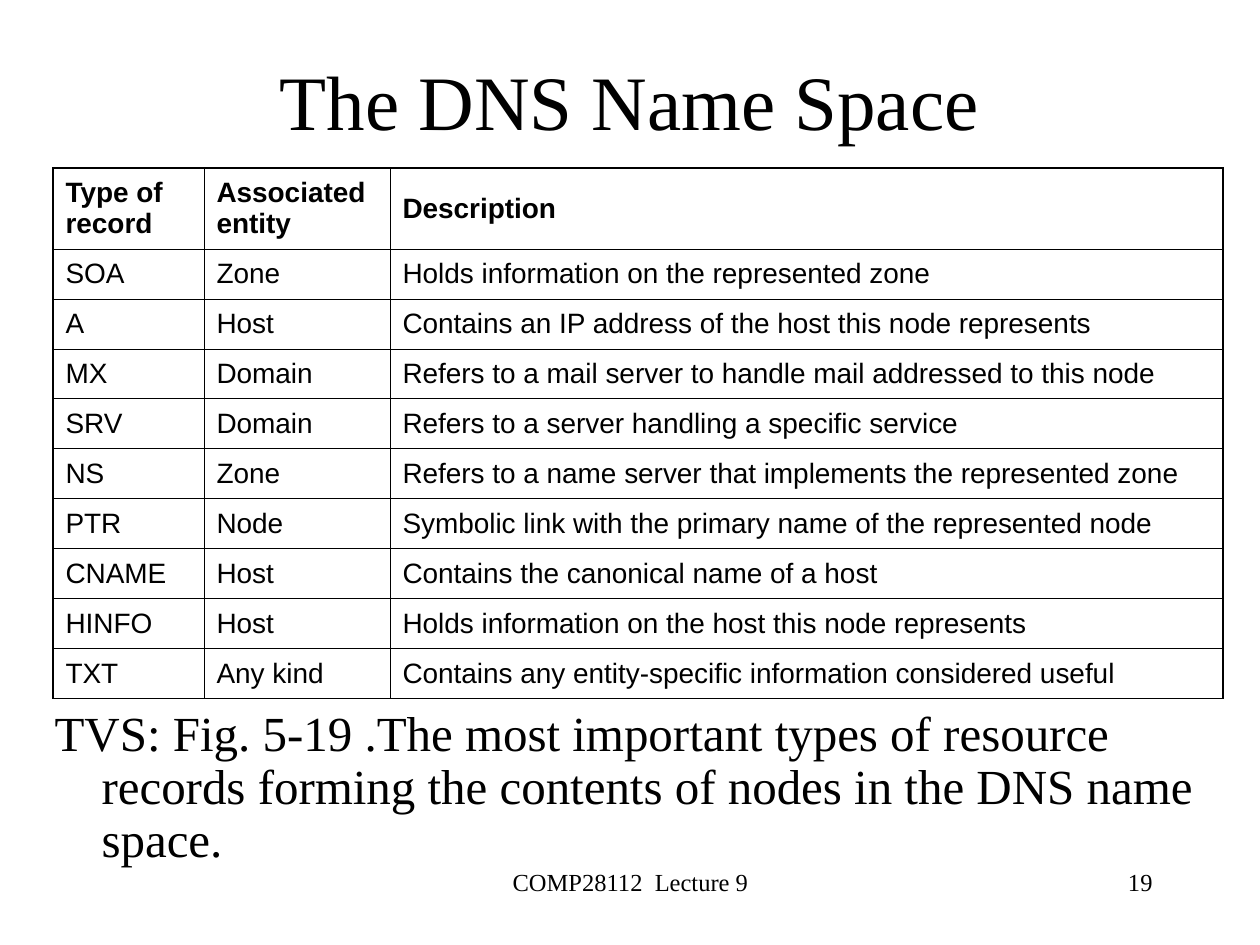
from dataclasses import dataclass

from lxml import etree
from pptx import Presentation
from pptx.dml.color import RGBColor
from pptx.enum.text import MSO_ANCHOR, MSO_AUTO_SIZE, PP_ALIGN
from pptx.oxml.ns import qn
from pptx.util import Emu, Pt

LEFT, CENTER, RIGHT = PP_ALIGN.LEFT, PP_ALIGN.CENTER, PP_ALIGN.RIGHT
TOP, MIDDLE = MSO_ANCHOR.TOP, MSO_ANCHOR.MIDDLE
NO_FIT = MSO_AUTO_SIZE.NONE
PIXEL = 914400 // 126  # EMU in one pixel


@dataclass(frozen=True)
class Theme:
    ink: str = "000000"
    paper: str = "FFFFFF"
    serif: str = "Times New Roman"
    sans: str = "Arial"
    title_size: int = 44
    caption_size: int = 28
    table_size: int = 16
    footer_size: int = 14
    outer_line: float = 1.08
    inner_line: float = 0.45


THEME = Theme()
COLUMN_WIDTHS = (151, 186, 833)
HEADER_HEIGHT, ROW_HEIGHT = 81, 50
RECORDS = (
    ("Type of record", "Associated entity", "Description"),
    ("SOA", "Zone", "Holds information on the represented zone"),
    ("A", "Host", "Contains an IP address of the host this node represents"),
    ("MX", "Domain", "Refers to a mail server to handle mail addressed to this node"),
    ("SRV", "Domain", "Refers to a server handling a specific service"),
    ("NS", "Zone", "Refers to a name server that implements the represented zone"),
    ("PTR", "Node", "Symbolic link with the primary name of the represented node"),
    ("CNAME", "Host", "Contains the canonical name of a host"),
    ("HINFO", "Host", "Holds information on the host this node represents"),
    ("TXT", "Any kind", "Contains any entity-specific information considered useful"),
)


def px(length):
    return Emu(length * PIXEL)


def write(frame, text, *, size, font=THEME.serif, bold=False, align=LEFT,
          before=0, line_spacing=1.0, hanging=0):
    """Put one formatted paragraph into a text frame."""
    para = frame.paragraphs[0]
    para.alignment = align
    para.space_before = Pt(before)
    para.line_spacing = line_spacing
    properties = para._p.get_or_add_pPr()
    properties.set("marL", str(px(hanging)))
    properties.set("indent", str(-px(hanging)))
    etree.SubElement(properties, qn("a:buNone"))
    span = para.add_run()
    span.text = text
    span.font.name = font
    span.font.size = Pt(size)
    span.font.bold = bold
    span.font.color.rgb = RGBColor.from_string(THEME.ink)


def place(box, left, top, width, height, anchor=TOP):
    """Move a text shape and return its prepared text frame."""
    box.left, box.top, box.width, box.height = map(px, (left, top, width, height))
    frame = box.text_frame
    frame.word_wrap = True
    frame.auto_size = NO_FIT
    frame.vertical_anchor = anchor
    return frame


def add_footer(page, text, left, width, align):
    box = page.shapes.add_textbox(0, 0, 0, 0)
    write(place(box, left, 861, width, 63), text,
          size=THEME.footer_size, align=align)


def set_borders(cell, widths):
    """Draw the left, right, top and bottom borders of a cell."""
    properties = cell._tc.get_or_add_tcPr()
    for index, (side, width) in enumerate(zip("LRTB", widths)):
        line = etree.Element(qn(f"a:ln{side}"), w=str(Pt(width)))
        fill = etree.SubElement(line, qn("a:solidFill"))
        etree.SubElement(fill, qn("a:srgbClr"), val=THEME.ink)
        properties.insert(index, line)


def add_records_table(page, left, top):
    last_row, last_column = len(RECORDS) - 1, len(COLUMN_WIDTHS) - 1
    height = HEADER_HEIGHT + last_row * ROW_HEIGHT
    table = page.shapes.add_table(
        len(RECORDS), len(COLUMN_WIDTHS), px(left), px(top),
        px(sum(COLUMN_WIDTHS)), px(height)).table
    table.horz_banding = False
    for column, width in zip(table.columns, COLUMN_WIDTHS):
        column.width = px(width)
    for r, record in enumerate(RECORDS):
        table.rows[r].height = px(ROW_HEIGHT if r else HEADER_HEIGHT)
        for c, text in enumerate(record):
            cell = table.cell(r, c)
            cell.vertical_anchor = MIDDLE
            cell.fill.background()
            outer = (c == 0, c == last_column, r == 0, r == last_row)
            set_borders(cell, [THEME.outer_line if edge else THEME.inner_line
                               for edge in outer])
            write(cell.text_frame, text, size=THEME.table_size,
                  font=THEME.sans, bold=r == 0, before=4)


def main():
    deck = Presentation()
    deck.slide_width, deck.slide_height = px(1260), px(945)
    page = deck.slides.add_slide(deck.slide_layouts[1])
    page.background.fill.solid()
    page.background.fill.fore_color.rgb = RGBColor.from_string(THEME.paper)

    # Footer and page number
    add_footer(page, "COMP28112  Lecture 9", 431, 399, CENTER)
    add_footer(page, "19", 903, 262, RIGHT)

    # Title
    write(place(page.shapes.title, 94, 42, 1071, 116, MIDDLE),
          "The DNS Name Space", size=THEME.title_size, align=CENTER)

    # Caption below the table
    write(place(page.placeholders[1], 42, 703, 1218, 179),
          "TVS: Fig. 5-19 .The most important types of resource records "
          "forming the contents of nodes in the DNS name space.",
          size=THEME.caption_size, before=7, line_spacing=0.9, hanging=47)

    # Resource record types
    add_records_table(page, 53, 168)

    deck.save("out.pptx")


main()
